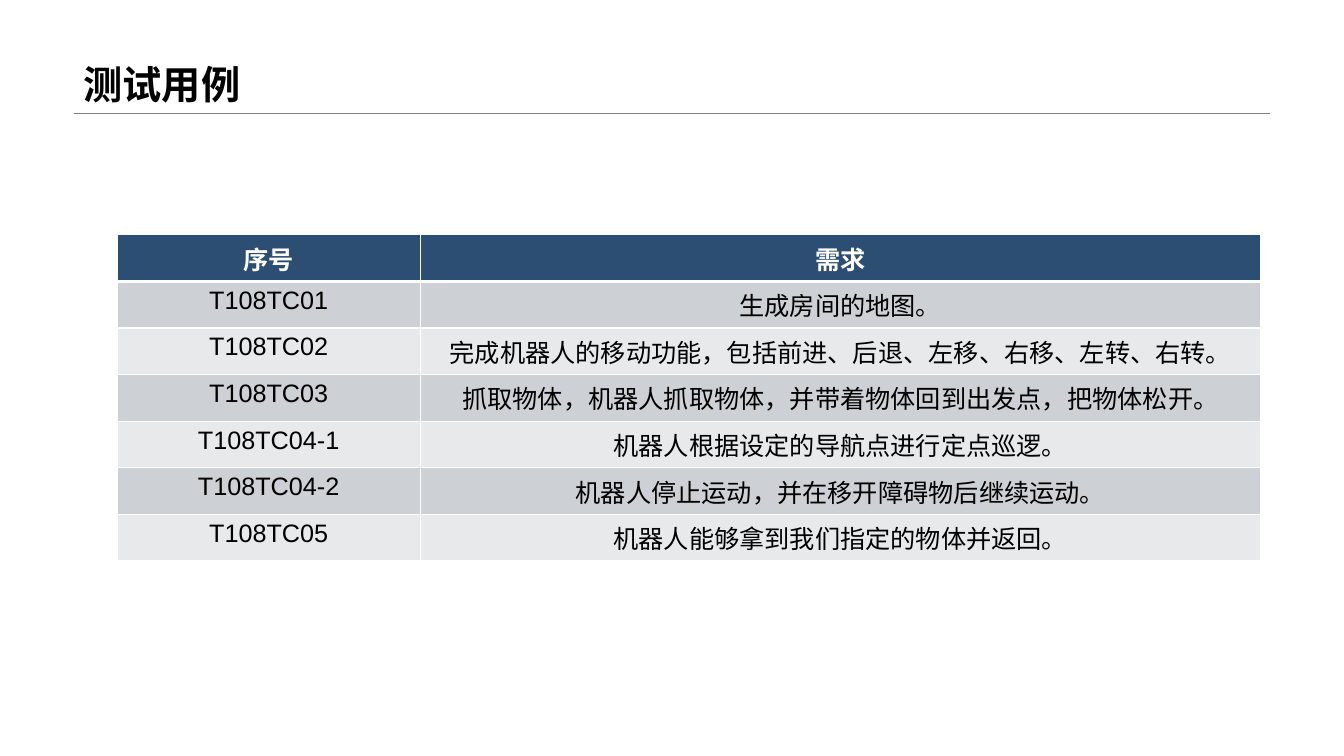
"""Build the test case slide: a ruled title above a two-column table."""
from dataclasses import dataclass

from lxml import etree
from pptx import Presentation
from pptx import util as u
from pptx.dml.color import RGBColor
from pptx.enum import shapes, text
from pptx.oxml import ns


@dataclass(frozen=True)
class Theme:
    """Font, type sizes, line widths and colours."""
    font: str = "Arial"
    title_size: float = 28
    table_size: float = 18
    ink: str = "000000"
    white: str = "FFFFFF"
    rule: str = "808080"
    header: str = "2B4E72"
    bands: tuple[str, str] = ("CDD0D5", "E8E9EB")
    rule_width: float = 0.25
    border: float = 1
    header_border: float = 3


@dataclass(frozen=True)
class Area:
    """A rectangle in grid units."""
    left: float
    top: float
    width: float
    height: float

    def place(self) -> tuple[int, int, int, int]:
        """Return left, top, width and height as lengths."""
        return tuple(grid(n) for n in (self.left, self.top, self.width, self.height))


@dataclass(frozen=True)
class TestCase:
    """One row of the table."""
    number: str
    need: str


THEME = Theme()
UNITS_PER_INCH = 10
PAGE = Area(0, 0, 133.3, 75)
TITLE = Area(7.3, 0, 118.7, 11.2)
ROW_HEIGHT = 4.1
COLUMNS = (30.1, 83.3)
HEADING = TestCase("序号", "需求")
CASES = (
    TestCase("T108TC01", "生成房间的地图。"),
    TestCase("T108TC02", "完成机器人的移动功能，包括前进、后退、左移、右移、左转、右转。"),
    TestCase("T108TC03", "抓取物体，机器人抓取物体，并带着物体回到出发点，把物体松开。"),
    TestCase("T108TC04-1", "机器人根据设定的导航点进行定点巡逻。"),
    TestCase("T108TC04-2", "机器人停止运动，并在移开障碍物后继续运动。"),
    TestCase("T108TC05", "机器人能够拿到我们指定的物体并返回。"),
)
TABLE = Area(11.6, 23.3, sum(COLUMNS), ROW_HEIGHT * (len(CASES) + 1))


def grid(units: float) -> int:
    """Convert grid units to a length."""
    return u.Inches(units / UNITS_PER_INCH)


def style_para(para, size: float, colour: str, bold: bool) -> None:
    """Format every run of a paragraph."""
    for span in para.runs:
        span.font.name = THEME.font
        span.font.size = u.Pt(size)
        span.font.bold = bold
        span.font.color.rgb = RGBColor.from_string(colour)


def add_title(page, wording: str) -> None:
    """Fill the title placeholder and rule a line along its foot."""
    left, top, width, height = TITLE.place()
    rule = page.shapes.add_connector(
        shapes.MSO_CONNECTOR.STRAIGHT, left, top + height, left + width, top + height)
    rule.line.color.rgb = RGBColor.from_string(THEME.rule)
    rule.line.width = u.Pt(THEME.rule_width)
    etree.SubElement(rule._element.spPr, ns.qn("a:effectLst"))

    box = page.shapes.title
    box.left, box.top, box.width, box.height = left, top, width, height
    frame = box.text_frame
    frame.text = wording
    frame.auto_size = text.MSO_AUTO_SIZE.NONE
    frame.vertical_anchor = text.MSO_ANCHOR.BOTTOM
    para = frame.paragraphs[0]
    para.alignment = text.PP_ALIGN.LEFT
    para.line_spacing = 0.9
    style_para(para, THEME.title_size, THEME.ink, True)


def add_borders(cell, top: float, bottom: float) -> None:
    """Draw white lines around a cell."""
    properties = cell._tc.get_or_add_tcPr()
    widths = {"L": THEME.border, "R": THEME.border, "T": top, "B": bottom}
    for side, width in widths.items():
        line = etree.SubElement(properties, ns.qn(f"a:ln{side}"), w=str(u.Pt(width)))
        fill = etree.SubElement(line, ns.qn("a:solidFill"))
        etree.SubElement(fill, ns.qn("a:srgbClr"), val=THEME.white)


def add_case_table(page) -> None:
    """Add the heading row and the banded test cases."""
    rows = (HEADING, *CASES)
    table = page.shapes.add_table(len(rows), len(COLUMNS), *TABLE.place()).table
    for column, width in zip(table.columns, COLUMNS):
        column.width = grid(width)
    for index, case in enumerate(rows):
        table.rows[index].height = grid(ROW_HEIGHT)
        heading = index == 0
        fill = THEME.header if heading else THEME.bands[(index - 1) % 2]
        ink = THEME.white if heading else THEME.ink
        top = THEME.header_border if index == 1 else THEME.border
        bottom = THEME.header_border if heading else THEME.border
        for cell, wording in zip(table.rows[index].cells, (case.number, case.need)):
            add_borders(cell, top, bottom)
            cell.fill.solid()
            cell.fill.fore_color.rgb = RGBColor.from_string(fill)
            cell.text_frame.text = wording
            para = cell.text_frame.paragraphs[0]
            para.alignment = text.PP_ALIGN.CENTER
            style_para(para, THEME.table_size, ink, heading)


def main() -> None:
    """Create and save the deck."""
    deck = Presentation()
    deck.slide_width, deck.slide_height = grid(PAGE.width), grid(PAGE.height)
    page = deck.slides.add_slide(deck.slide_layouts.get_by_name("Title Only"))
    add_title(page, "测试用例")
    add_case_table(page)
    deck.save("out.pptx")


main()
